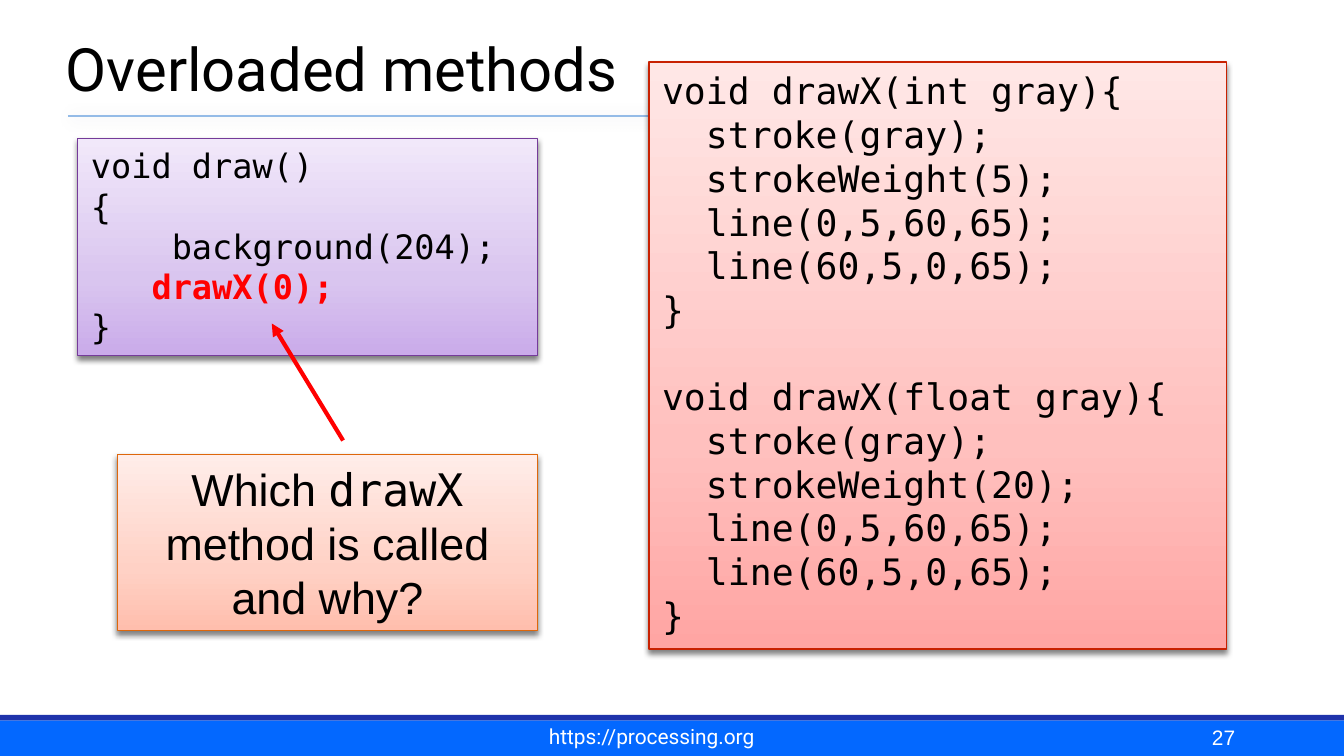
import pptx
import pptx.dml.color
import pptx.enum.shapes
import pptx.enum.text
import pptx.oxml
import pptx.oxml.ns
import pptx.util

Pt = pptx.util.Pt
RGBColor = pptx.dml.color.RGBColor
Align = pptx.enum.text.PP_ALIGN
Anchor = pptx.enum.text.MSO_ANCHOR

BLACK = RGBColor(0x00, 0x00, 0x00)
WHITE = RGBColor(0xFF, 0xFF, 0xFF)
RED = RGBColor(0xFF, 0x00, 0x00)
FOOTER_BLUE = RGBColor(0x03, 0x68, 0xFF)
FOOTER_EDGE = RGBColor(0x1F, 0x33, 0xAB)
RULE_BLUE = RGBColor(0x94, 0xBB, 0xE7)
RULE_SHADOW = RGBColor(0x00, 0x3D, 0x62)
PURPLE_LINE = RGBColor(0x75, 0x3B, 0x9A)
PURPLES = [RGBColor(0xCA, 0xAB, 0xEA), RGBColor(0xD9, 0xC5, 0xEF), RGBColor(0xF1, 0xE8, 0xFA)]
PINK_LINE = RGBColor(0xC8, 0x21, 0x01)
PINKS = [RGBColor(0xFF, 0xA5, 0xA3), RGBColor(0xFF, 0xC0, 0xBE), RGBColor(0xFF, 0xE7, 0xE6)]
ORANGE_LINE = RGBColor(0xDE, 0x67, 0x0B)
ORANGES = [RGBColor(0xFF, 0xBE, 0xAD), RGBColor(0xFF, 0xD1, 0xC5), RGBColor(0xFF, 0xED, 0xE9)]

MONO = "DejaVu Sans Mono"
STOPS = (0, 35, 100)
LINE_HEIGHT = 1.2

DRAW_CODE = """void draw()
{
    background(204);
   drawX(0);
}"""

DRAW_X_CODE = """void drawX(int gray){
  stroke(gray);
  strokeWeight(5);
  line(0,5,60,65);
  line(60,5,0,65);
}

void drawX(float gray){
  stroke(gray);
  strokeWeight(20);
  line(0,5,60,65);
  line(60,5,0,65);
}"""


def set_values(target, values):
    for name, value in values.items():
        setattr(target, name, value)


def make_element(tag, attributes="", content=""):
    namespace = pptx.oxml.ns.nsdecls("a")
    return pptx.oxml.parse_xml(f"<a:{tag} {namespace} {attributes}>{content}</a:{tag}>")


def set_font(run, name, size, color, bold=False):
    set_values(run.font, {"name": name, "size": Pt(size), "bold": bold})
    run.font.color.rgb = color


def set_frame(shape, anchor, horizontal=7.2, vertical=3.6):
    set_values(shape.text_frame, {
        "word_wrap": True,
        "auto_size": pptx.enum.text.MSO_AUTO_SIZE.NONE,
        "vertical_anchor": anchor,
        "margin_left": Pt(horizontal), "margin_right": Pt(horizontal),
        "margin_top": Pt(vertical), "margin_bottom": Pt(vertical),
    })


def add_shadow(shape, color, opacity, blur, distance, angle):
    shape._element.spPr.append(make_element(
        "effectLst", content=f'<a:outerShdw blurRad="{int(Pt(blur))}" '
        f'dist="{int(Pt(distance))}" dir="{angle * 60000}" rotWithShape="0">'
        f'<a:srgbClr val="{color}"><a:alpha val="{opacity * 1000}"/></a:srgbClr>'
        '</a:outerShdw>'))


def add_rectangle(slide, left, top, width, height):
    return slide.shapes.add_shape(pptx.enum.shapes.MSO_SHAPE.RECTANGLE,
                                  Pt(left), Pt(top), Pt(width), Pt(height))


def add_bar(slide, top, height, color):
    bar = add_rectangle(slide, 0, top, 720, height)
    bar.shadow.inherit = False
    bar.fill.solid()
    bar.fill.fore_color.rgb = color
    bar.line.fill.background()


def add_panel(slide, bounds, colors, line_color, anchor):
    panel = add_rectangle(slide, *bounds)
    stops = "".join(f'<a:gs pos="{stop * 1000}"><a:srgbClr val="{color}"/></a:gs>'
                    for stop, color in zip(STOPS, colors))
    panel._element.spPr.append(make_element(
        "gradFill", 'rotWithShape="1"',
        f'<a:gsLst>{stops}</a:gsLst><a:lin ang="16200000" scaled="0"/>'))
    panel.line.color.rgb = line_color
    panel.line.width = Pt(0.75)
    add_shadow(panel, BLACK, 50, 3, 2, 90)
    set_frame(panel, anchor)
    return panel


def add_code(panel, code, size, highlight=None):
    frame = panel.text_frame
    pitch = Pt(size * LINE_HEIGHT)
    paragraph = frame.paragraphs[0]
    gap = 0
    for index, line in enumerate(code.split("\n")):
        if not line:
            gap = pitch
            continue
        if index:
            paragraph = frame.add_paragraph()
        set_values(paragraph, {"alignment": Align.LEFT, "line_spacing": pitch,
                               "space_before": gap})
        run = paragraph.add_run()
        run.text = line
        called = line.strip() == highlight
        set_font(run, MONO, size, RED if called else BLACK, called)
        gap = 0


def add_question(panel, pieces, size):
    paragraph = panel.text_frame.paragraphs[0]
    set_values(paragraph, {"alignment": Align.CENTER,
                           "line_spacing": Pt(size * LINE_HEIGHT)})
    for text, font_name in pieces:
        run = paragraph.add_run()
        run.text = text
        set_font(run, font_name, size, BLACK)


def add_line(slide, start, end, color, width):
    line = slide.shapes.add_connector(pptx.enum.shapes.MSO_CONNECTOR.STRAIGHT,
                                      *map(Pt, start + end))
    line.line.color.rgb = color
    line.line.width = Pt(width)
    return line


def add_arrow(slide, start, end):
    arrow = add_line(slide, start, end, RED, 2.25)
    arrow.line._get_or_add_ln().append(make_element("tailEnd", 'type="triangle"'))
    arrow._element.spPr.append(make_element("effectLst"))


def add_label(slide, bounds, text, font_name, alignment, margins):
    label = slide.shapes.add_textbox(*map(Pt, bounds))
    set_frame(label, Anchor.BOTTOM, *margins)
    paragraph = label.text_frame.paragraphs[0]
    paragraph.alignment = alignment
    run = paragraph.add_run()
    run.text = text
    set_font(run, font_name, 11.2, WHITE)


def format_title(slide, text):
    title = slide.shapes.title
    set_values(title, {"left": Pt(31), "top": Pt(0), "width": Pt(612), "height": Pt(59.8)})
    set_frame(title, Anchor.BOTTOM, 4.3, 4.3)
    paragraph = title.text_frame.paragraphs[0]
    paragraph.alignment = Align.LEFT
    run = paragraph.add_run()
    run.text = text
    set_font(run, "Roboto", 32, BLACK)


def main():
    presentation = pptx.Presentation()
    set_values(presentation, {"slide_width": Pt(720), "slide_height": Pt(405)})
    slide = presentation.slides.add_slide(presentation.slide_layouts[5])

    format_title(slide, "Overloaded methods")
    add_bar(slide, 386, 19, FOOTER_BLUE)
    add_bar(slide, 383, 3, FOOTER_EDGE)
    rule = add_line(slide, (36.7, 62), (598.3, 62), RULE_BLUE, 1)
    add_shadow(rule, RULE_SHADOW, 20, 8, 1, 45)

    draw_panel = add_panel(slide, (41.6, 74.2, 246.4, 116.4), PURPLES, PURPLE_LINE, Anchor.TOP)
    add_code(draw_panel, DRAW_CODE, 18, "drawX(0);")
    overload_panel = add_panel(slide, (347.6, 33.2, 309.6, 314.6), PINKS, PINK_LINE, Anchor.TOP)
    add_code(overload_panel, DRAW_X_CODE, 19.5)
    question_panel = add_panel(slide, (62.8, 243.5, 225.2, 94.4), ORANGES, ORANGE_LINE, Anchor.MIDDLE)
    add_question(question_panel, [("Which ", "Arial"), ("drawX", MONO),
                                  (" method is called and why?", "Arial")], 24)
    add_arrow(slide, (183.8, 236), (145.6, 173.3))

    add_label(slide, (253.4, 385.2, 191.5, 18.7), "https://processing.org",
              "Roboto", Align.CENTER, (5.8, 2.9))
    add_label(slide, (516.2, 383.8, 149.8, 22.3), "27", "Arial", Align.RIGHT, (4.3, 4.3))
    presentation.save("out.pptx")


if __name__ == "__main__":
    main()
